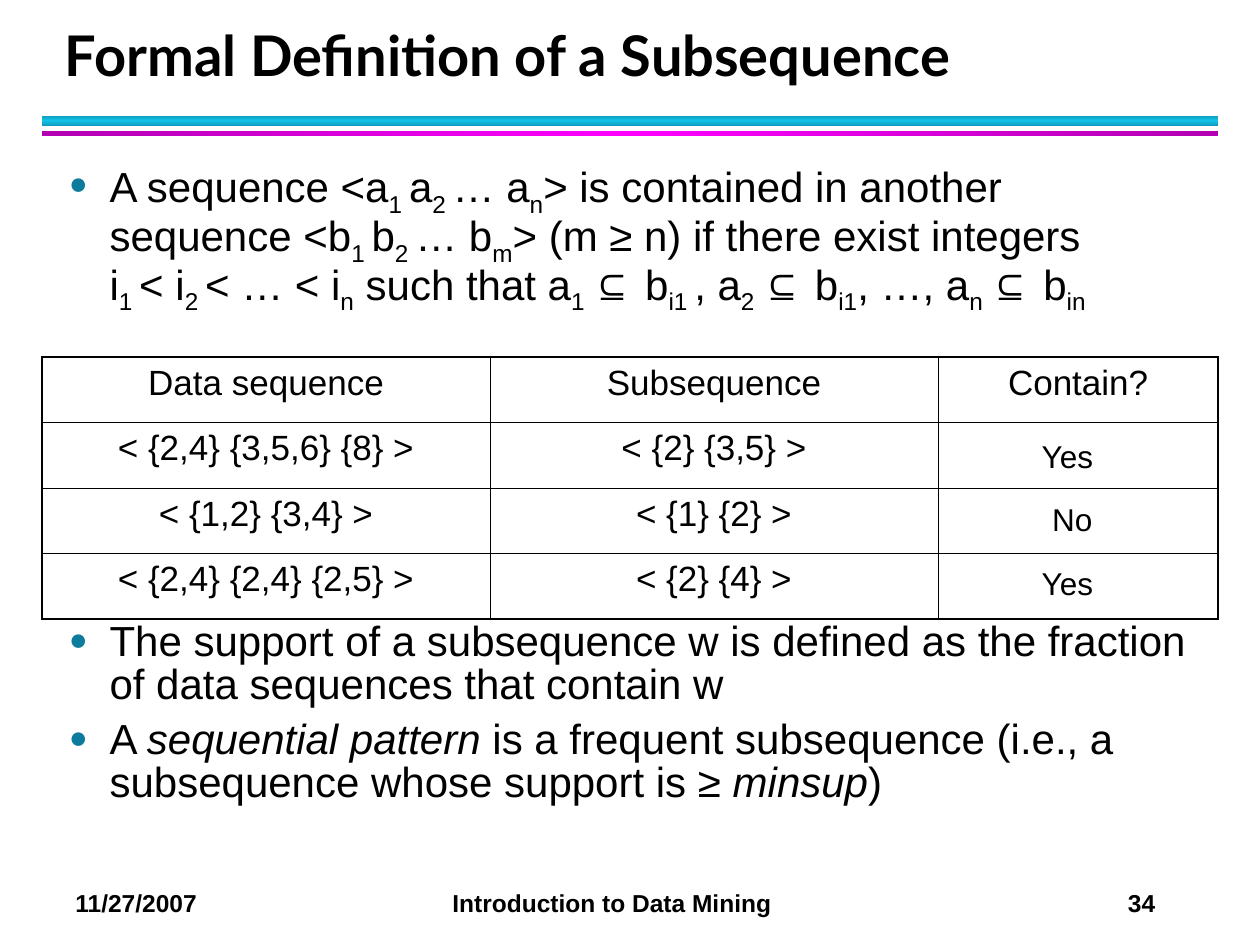
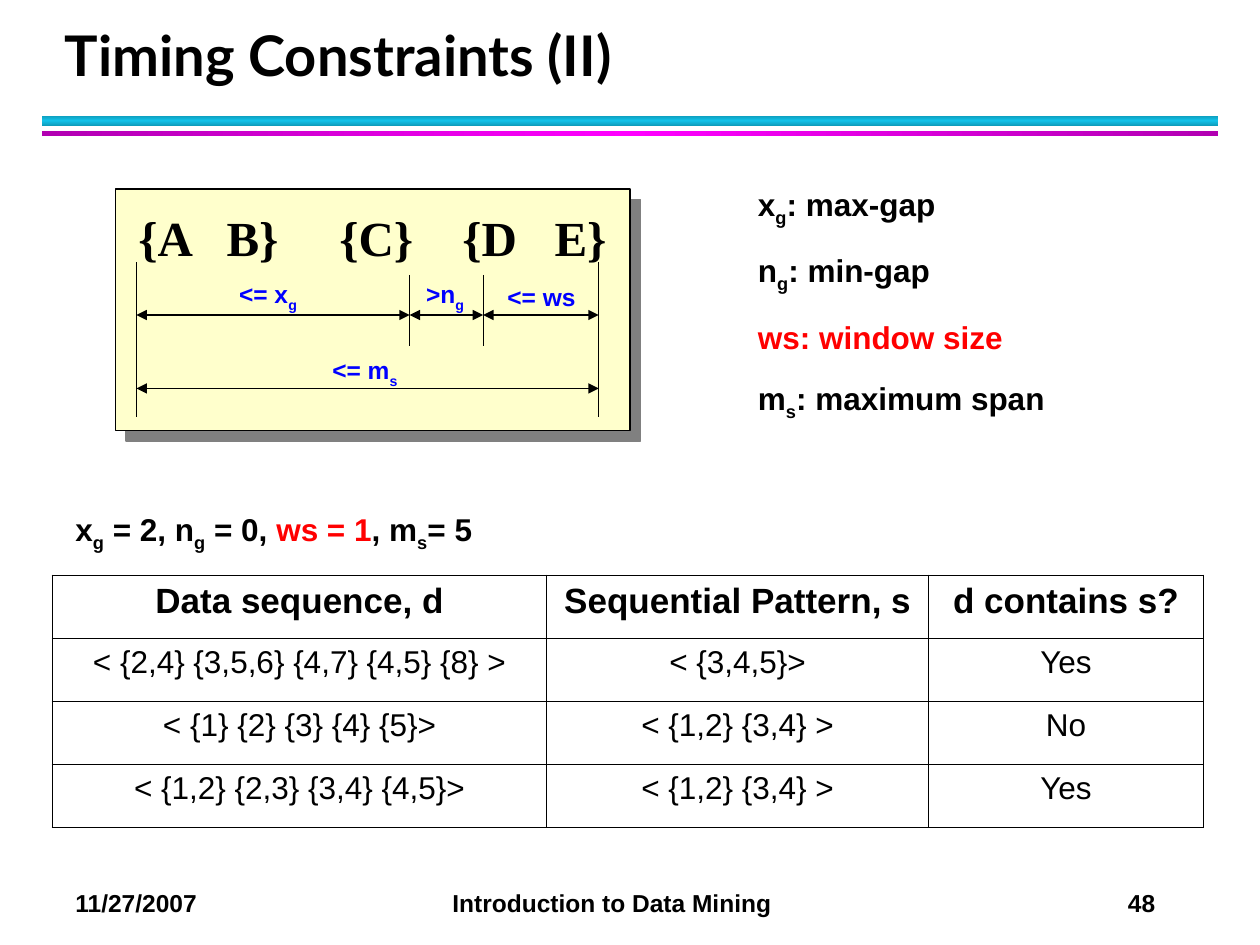
from copy import deepcopy
from itertools import pairwise

from lxml import etree
from pptx import Presentation
from pptx import util as u
from pptx.dml.color import RGBColor
from pptx.enum import shapes, text
from pptx.oxml import ns

Cm, Pt = u.Cm, u.Pt
COLORS = {
    "black": "000000",
    "teal_dark": "0E9BBA",
    "teal": "12C2E9",
    "purple": "B200B2",
    "magenta": "FF00FF",
    "bullet": "0C7B9C",
    "cream": "FFFFCC",
    "shadow": "808080",
    "blue": "0000FF",
    "red": "FF0000",
}


def rgb(name):
    return RGBColor.from_string(COLORS[name])


def child(parent, tag, **attrs):
    node = etree.SubElement(parent, ns.qn(tag))
    for key, value in attrs.items():
        node.set(key, str(value))
    return node


def add_bullet(p):
    pPr = p._p.get_or_add_pPr()
    pPr.set("marL", str(Cm(0.82)))
    pPr.set("indent", str(-Cm(0.82)))
    child(child(pPr, "a:buClr"), "a:srgbClr", val=COLORS["bullet"])
    child(pPr, "a:buSzPct", val=75000)
    child(pPr, "a:buFont", typeface="Arial")
    child(pPr, "a:buChar", char="●")


def add_tabs(p, stops):
    tabs = child(p._p.get_or_add_pPr(), "a:tabLst")
    for pos, algn in stops:
        child(tabs, "a:tab", pos=int(Cm(pos)), algn=algn)


def write(tf, content, size=18, font="Arial", color="black", bold=False,
          emphasis=None, align=None, spacing=None, before=0, after=0,
          bullet=False, tabs=()):
    """Paragraphs split at |, emphasis sits between *, subscripts between _."""
    for n, line in enumerate(content.split("|")):
        p = tf.add_paragraph() if n else tf.paragraphs[0]
        p.alignment = align
        p.line_spacing = spacing
        p.space_before = Pt(before if n else 0)
        p.space_after = Pt(after)
        if bullet:
            add_bullet(p)
        if tabs:
            add_tabs(p, tabs)
        for i, part in enumerate(line.split("*")):
            for j, piece in enumerate(part.split("_")):
                for k, chunk in enumerate(piece.split("\n")):
                    if k:
                        p.add_line_break()
                    if not chunk:
                        continue
                    r = p.add_run()
                    r.text = chunk
                    r.font.size = Pt(size)
                    r.font.name = font
                    r.font.bold = bold
                    r.font.italic = bool(i % 2 and emphasis == "italic")
                    red = i % 2 and emphasis == "red"
                    r.font.color.rgb = rgb("red" if red else color)
                    if j % 2:
                        r._r.get_or_add_rPr().set("baseline", "-25000")


class Deck:
    def __init__(self):
        self.prs = Presentation()
        self.prs.slide_width = Cm(25.4)
        self.prs.slide_height = Cm(19.05)
        self.s = None

    def slide(self, title, number):
        self.s = self.prs.slides.add_slide(self.prs.slide_layouts[6])
        self.band(2.33, 0.21, "teal_dark", "teal", 270)
        self.band(2.64, 0.1, "purple", "magenta", 0)
        self.text(f"11/27/2007\tIntroduction to Data Mining\t{number}",
                  1.27, 17.78, 23.7, 0.86, size=14, bold=True,
                  tabs=((7.6, "l"), (21.77, "r")))
        self.text(title, 1.06, 0.42, 23.02, 1.48, anchor="BOTTOM", size=32,
                  font="Lato", bold=True, spacing=Pt(36))

    def rect(self, x, y, w, h):
        sp = self.s.shapes.add_shape(shapes.MSO_SHAPE.RECTANGLE,
                                     Cm(x), Cm(y), Cm(w), Cm(h))
        sp.shadow.inherit = False
        return sp

    def band(self, y, h, edge, middle, angle):
        sp = self.rect(0.85, y, 23.71, h)
        sp.line.fill.background()
        sp.fill.gradient()
        sp.fill.gradient_angle = angle
        gs_list = sp._element.spPr.find(".//" + ns.qn("a:gsLst"))
        gs_list.append(deepcopy(gs_list[0]))
        for stop, name, pos in zip(sp.fill.gradient_stops,
                                   (edge, middle, edge), (0, 0.5, 1)):
            stop.color.rgb = rgb(name)
            stop.position = pos

    def card(self, x, y, w, h):
        sp = self.rect(x, y, w, h)
        sp.fill.solid()
        sp.fill.fore_color.rgb = rgb("cream")
        sp.line.color.rgb = rgb("black")
        sp.line.width = Pt(0.75)
        effects = sp._element.spPr.find(ns.qn("a:effectLst"))
        shadow = child(effects, "a:outerShdw", dist=int(Pt(8.5)),
                       dir=45 * 60000, algn="ctr", rotWithShape=0)
        child(shadow, "a:srgbClr", val=COLORS["shadow"])

    def text(self, content, x, y, w, h, anchor="TOP", wrap=True, fill=None,
             **style):
        sp = self.s.shapes.add_textbox(Cm(x), Cm(y), Cm(w), Cm(h))
        if fill:
            sp.fill.solid()
            sp.fill.fore_color.rgb = rgb(fill)
        tf = sp.text_frame
        tf.word_wrap = wrap
        tf.vertical_anchor = text.MSO_ANCHOR[anchor]
        write(tf, content, **style)

    def line(self, x1, y1, x2, y2, arrows=False):
        c = self.s.shapes.add_connector(shapes.MSO_CONNECTOR.STRAIGHT,
                                        Cm(x1), Cm(y1), Cm(x2), Cm(y2))
        c.line.color.rgb = rgb("black")
        c.line.width = Pt(0.75)
        if arrows:
            ln = c._element.spPr.find(ns.qn("a:ln"))
            child(ln, "a:headEnd", type="triangle")
            child(ln, "a:tailEnd", type="triangle")
        child(c._element.spPr, "a:effectLst")

    def table(self, rows, x, y, widths, row_height, head, body):
        last_row, last_col = len(rows) - 1, len(widths) - 1
        frame = self.s.shapes.add_table(
            len(rows), len(widths), Cm(x), Cm(y),
            Cm(sum(widths)), Cm(row_height * len(rows)))
        tbl = frame.table
        tbl.first_row = tbl.horz_banding = False
        for col, width in zip(tbl.columns, widths):
            col.width = Cm(width)
        for i, row in enumerate(rows):
            tbl.rows[i].height = Cm(row_height)
            for j, content in enumerate(row):
                cell = tbl.cell(i, j)
                outer = {"L": j == 0, "R": j == last_col,
                         "T": i == 0, "B": i == last_row}
                self.borders(cell, outer)
                cell.fill.background()
                cell.margin_left = cell.margin_right = Cm(0.25)
                cell.margin_top = cell.margin_bottom = Cm(0.13)
                write(cell.text_frame, content, align=text.PP_ALIGN.CENTER,
                      **(body if i else head))

    def borders(self, cell, outer):
        tcPr = cell._tc.get_or_add_tcPr()
        for side, is_outer in outer.items():
            ln = child(tcPr, f"a:ln{side}", w=int(Pt(1.08 if is_outer else 0.45)))
            child(child(ln, "a:solidFill"), "a:srgbClr", val=COLORS["black"])


def subsequence_slide(deck):
    deck.slide("Formal Definition of a Subsequence", 34)
    bullets = dict(size=24, spacing=0.85, before=3, after=4, bullet=True,
                   emphasis="italic")
    deck.text("A sequence <a_1 _a_2 _… a_n_> is contained in another sequence "
              "<b_1 _b_2 _… b_m_> (m ≥ n) if there exist integers \n"
              "i_1 _< i_2 _< … < i_n_ such that a_1 _⊆ b_i1 _, a_2 _⊆ b_i1_, "
              "…, a_n _⊆ b_in_", 1.14, 3.18, 23.11, 3.8, **bullets)
    deck.table([("Data sequence", "Subsequence", "Contain?"),
                ("< {2,4} {3,5,6} {8} >", "< {2} {3,5} >", ""),
                ("< {1,2} {3,4} >", "< {1} {2} >", ""),
                ("< {2,4} {2,4} {2,5} >", "< {2} {4} >", "")],
               0.85, 7.2, (9.03, 9.03, 5.65), 1.32, dict(size=20), dict(size=20))
    for i, (answer, x) in enumerate((("Yes", 20.75), ("No", 20.96), ("Yes", 20.75))):
        deck.text(answer, x, 8.68 + 1.28 * i, 1.9, 1.02)
    deck.text("The support of a subsequence w is defined as the fraction of "
              "data sequences that contain w|A *sequential pattern* is a "
              "frequent subsequence (i.e., a subsequence whose support is "
              "≥ *minsup*)", 1.14, 12.42, 23.11, 4, **bullets)


def timing_slide(deck):
    deck.slide("Timing Constraints (II)", 48)
    deck.card(2.33, 3.81, 10.37, 4.87)
    deck.text("{A\tB}\t{C}\t{D\tE}", 2.54, 4.06, 9.98, 1.45, fill="cream",
              size=28, font="Times New Roman", bold=True,
              tabs=[(pos, "l") for pos in (1.78, 4.05, 6.53, 8.39)])
    for label, x, y, w in (("<= m_s_", 6.45, 7.04, 1.83),
                           ("<= x_g_", 4.57, 5.51, 1.68),
                           (">n_g_", 8.34, 5.51, 1.27),
                           ("<= ws", 9.98, 5.56, 1.88)):
        deck.text(label, x, y, w, 0.9, wrap=False, fill="cream", size=14,
                  color="blue", bold=True)
    marks = (2.75, 8.26, 9.74, 12.07)
    start, *inner, end = marks
    deck.line(start, 7.83, end, 7.83, arrows=True)
    for left, right in pairwise(marks):
        deck.line(left, 6.35, right, 6.35, arrows=True)
    for x in (start, end):
        deck.line(x, 5.29, x, 8.41)
    for x in inner:
        deck.line(x, 5.54, x, 6.98)
    deck.text("x_g_: max-gap|n_g_: min-gap|*ws: window size*|m_s_: maximum span",
              15.03, 3.6, 8.69, 5.06, bold=True, emphasis="red",
              before=2.2, after=11.2)
    deck.table([("Data sequence, d", "Sequential Pattern, s", "d contains s?"),
                ("< {2,4} {3,5,6} {4,7} {4,5} {8} >", "< {3,4,5}>", "Yes"),
                ("< {1} {2} {3} {4} {5}>", "< {1,2} {3,4} >", "No"),
                ("< {1,2} {2,3} {3,4} {4,5}>", "< {1,2} {3,4} >", "Yes")],
               1.06, 11.6, (9.96, 7.7, 5.54), 1.27,
               dict(size=20, bold=True), dict(size=18))
    deck.text("x_g_ = 2, n_g_ = 0, *ws = 1*, m_s_= 5", 1.27, 10.16, 21.79, 1.12,
              bold=True, emphasis="red")


def main():
    deck = Deck()
    subsequence_slide(deck)
    timing_slide(deck)
    deck.prs.save("out.pptx")


if __name__ == "__main__":
    main()
